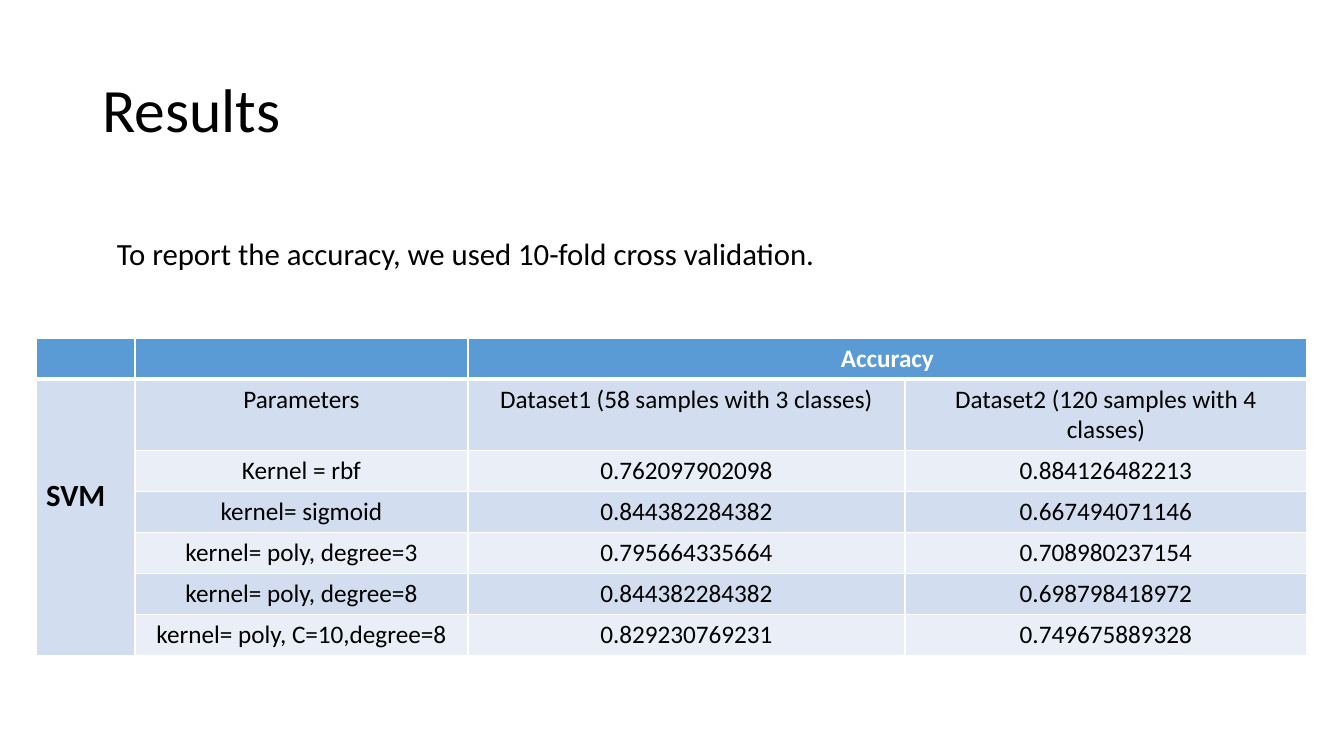
from dataclasses import dataclass

from lxml import etree
from pptx import Presentation
from pptx import util as u
from pptx.dml.color import RGBColor
from pptx.enum import text
from pptx.oxml import ns

EMU_PER_PX = 914400 / 100.8


@dataclass(frozen=True)
class Theme:
    font: str = "Calibri"
    ink: str = "000000"
    paper: str = "FFFFFF"
    header: str = "5B9BD5"
    band_dark: str = "D2DEEF"
    band_light: str = "EAEFF7"
    title_size: int = 44
    body_size: int = 22
    cell_size: int = 18
    rule: int = 1
    header_rule: int = 3


@dataclass(frozen=True)
class Box:
    left: int
    top: int
    width: int
    height: int

    def emu(self) -> tuple[u.Emu, ...]:
        return tuple(px(n) for n in (self.left, self.top, self.width, self.height))


@dataclass(frozen=True)
class Result:
    parameters: str
    dataset1: str
    dataset2: str


THEME = Theme()
TITLE_BOX = Box(92, 40, 1159, 146)
NOTE_BOX = Box(107, 230, 726, 47)
COLUMN_WIDTHS = (99, 333, 437, 402)
HEADING_ROW_HEIGHT = 71
ROW_HEIGHT = 41
TABLE_LEFT, TABLE_TOP = 36, 338
MODEL_BOTTOM_MARGIN = 47

RESULTS = (
    Result("Parameters", "Dataset1 (58 samples with 3 classes)",
           "Dataset2 (120 samples with 4 classes)"),
    Result("Kernel = rbf", "0.762097902098", "0.884126482213"),
    Result("kernel= sigmoid", "0.844382284382", "0.667494071146"),
    Result("kernel= poly, degree=3", "0.795664335664", "0.708980237154"),
    Result("kernel= poly, degree=8", "0.844382284382", "0.698798418972"),
    Result("kernel= poly, C=10,degree=8", "0.829230769231", "0.749675889328"),
)


def px(length: int) -> u.Emu:
    return u.Emu(round(length * EMU_PER_PX))


def write(frame, words: str, size: int, color: str = THEME.ink,
          bold: bool = False, align=text.PP_ALIGN.LEFT):
    para = frame.paragraphs[0]
    para.text = words
    para.alignment = align
    para.font.name = THEME.font
    para.font.size = u.Pt(size)
    para.font.bold = bold
    para.font.color.rgb = RGBColor.from_string(color)
    return para


def set_borders(cell, top: int, bottom: int) -> None:
    properties = cell._tc.get_or_add_tcPr()
    widths = {"lnL": THEME.rule, "lnR": THEME.rule, "lnT": top, "lnB": bottom}
    for position, (side, width) in enumerate(widths.items()):
        line = etree.Element(ns.qn(f"a:{side}"), w=str(u.Pt(width)))
        fill = etree.SubElement(line, ns.qn("a:solidFill"))
        etree.SubElement(fill, ns.qn("a:srgbClr"), val=THEME.paper)
        properties.insert(position, line)


def style_cell(cell, row: int) -> None:
    if row == 0:
        color = THEME.header
    else:
        color = THEME.band_dark if row % 2 else THEME.band_light
    cell.fill.solid()
    cell.fill.fore_color.rgb = RGBColor.from_string(color)
    set_borders(cell,
                THEME.header_rule if row == 1 else THEME.rule,
                THEME.header_rule if row == 0 else THEME.rule)


def add_title(page) -> None:
    title = page.shapes.title
    title.left, title.top, title.width, title.height = TITLE_BOX.emu()
    title.text_frame.vertical_anchor = text.MSO_ANCHOR.MIDDLE
    para = write(title.text_frame, "Results", THEME.title_size)
    para.line_spacing = 0.9


def add_results_table(page) -> None:
    heights = [ROW_HEIGHT, HEADING_ROW_HEIGHT] + [ROW_HEIGHT] * (len(RESULTS) - 1)
    area = Box(TABLE_LEFT, TABLE_TOP, sum(COLUMN_WIDTHS), sum(heights))
    table = page.shapes.add_table(len(heights), len(COLUMN_WIDTHS), *area.emu()).table
    table.horz_banding = False
    for column, width in zip(table.columns, COLUMN_WIDTHS):
        column.width = px(width)
    for index, (row, height) in enumerate(zip(table.rows, heights)):
        row.height = px(height)
        for cell in row.cells:
            style_cell(cell, index)

    accuracy = table.cell(0, 2)
    accuracy.merge(table.cell(0, 3))
    write(accuracy.text_frame, "Accuracy", THEME.cell_size, THEME.paper,
          bold=True, align=text.PP_ALIGN.CENTER)

    model = table.cell(1, 0)
    model.merge(table.cell(len(RESULTS), 0))
    model.vertical_anchor = text.MSO_ANCHOR.MIDDLE
    model.margin_bottom = px(MODEL_BOTTOM_MARGIN)
    write(model.text_frame, "SVM", THEME.body_size, bold=True)

    for row, result in enumerate(RESULTS, start=1):
        values = (result.parameters, result.dataset1, result.dataset2)
        for column, value in enumerate(values, start=1):
            write(table.cell(row, column).text_frame, value, THEME.cell_size,
                  align=text.PP_ALIGN.CENTER)


def add_note(page) -> None:
    frame = page.shapes.add_textbox(*NOTE_BOX.emu()).text_frame
    frame.word_wrap = False
    frame.auto_size = text.MSO_AUTO_SIZE.SHAPE_TO_FIT_TEXT
    write(frame, "To report the accuracy, we used 10-fold cross validation.",
          THEME.body_size)


def main() -> None:
    deck = Presentation()
    deck.slide_width, deck.slide_height = px(1344), px(756)
    page = deck.slides.add_slide(deck.slide_layouts[5])
    add_title(page)
    add_results_table(page)
    add_note(page)
    deck.save("out.pptx")


if __name__ == "__main__":
    main()
